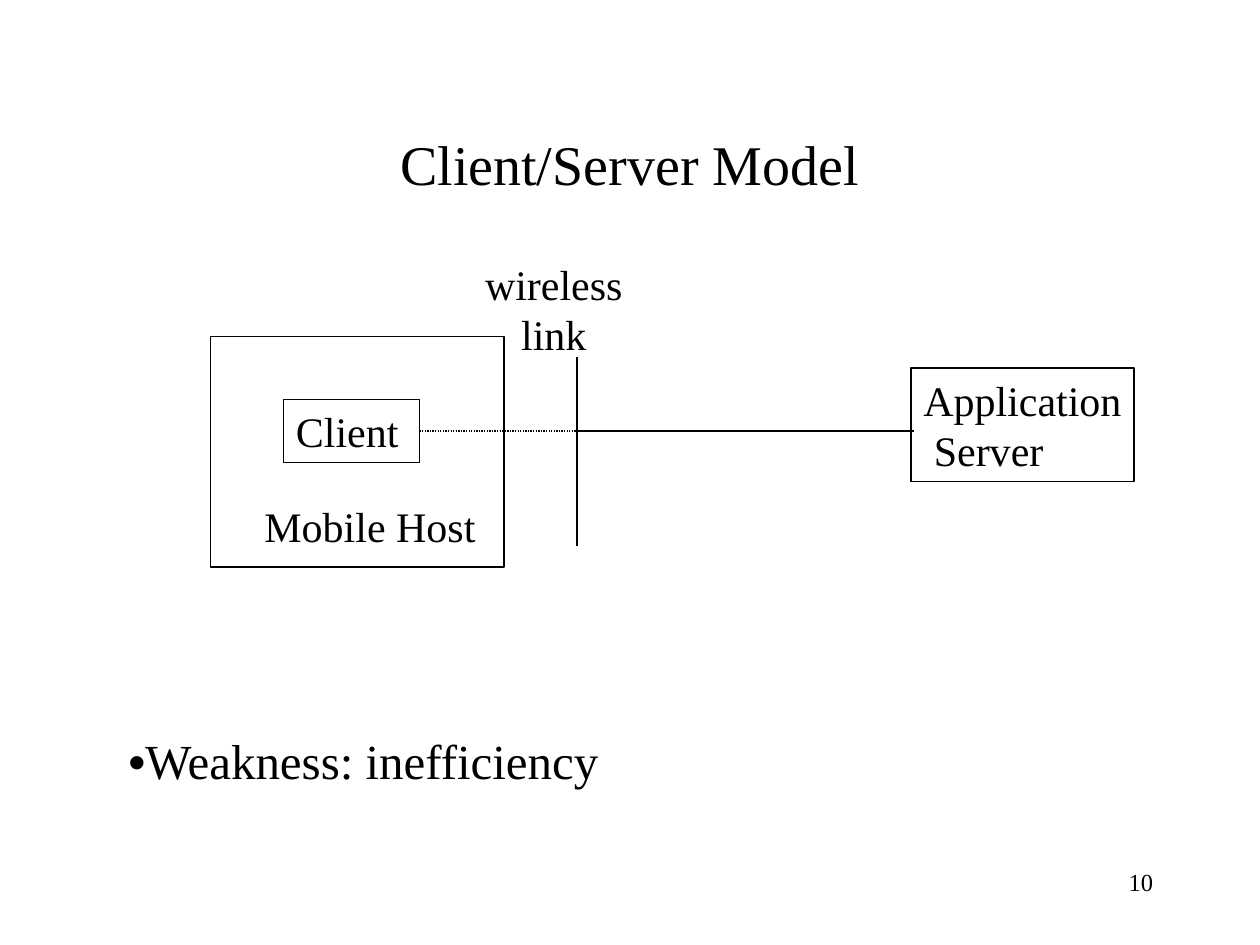
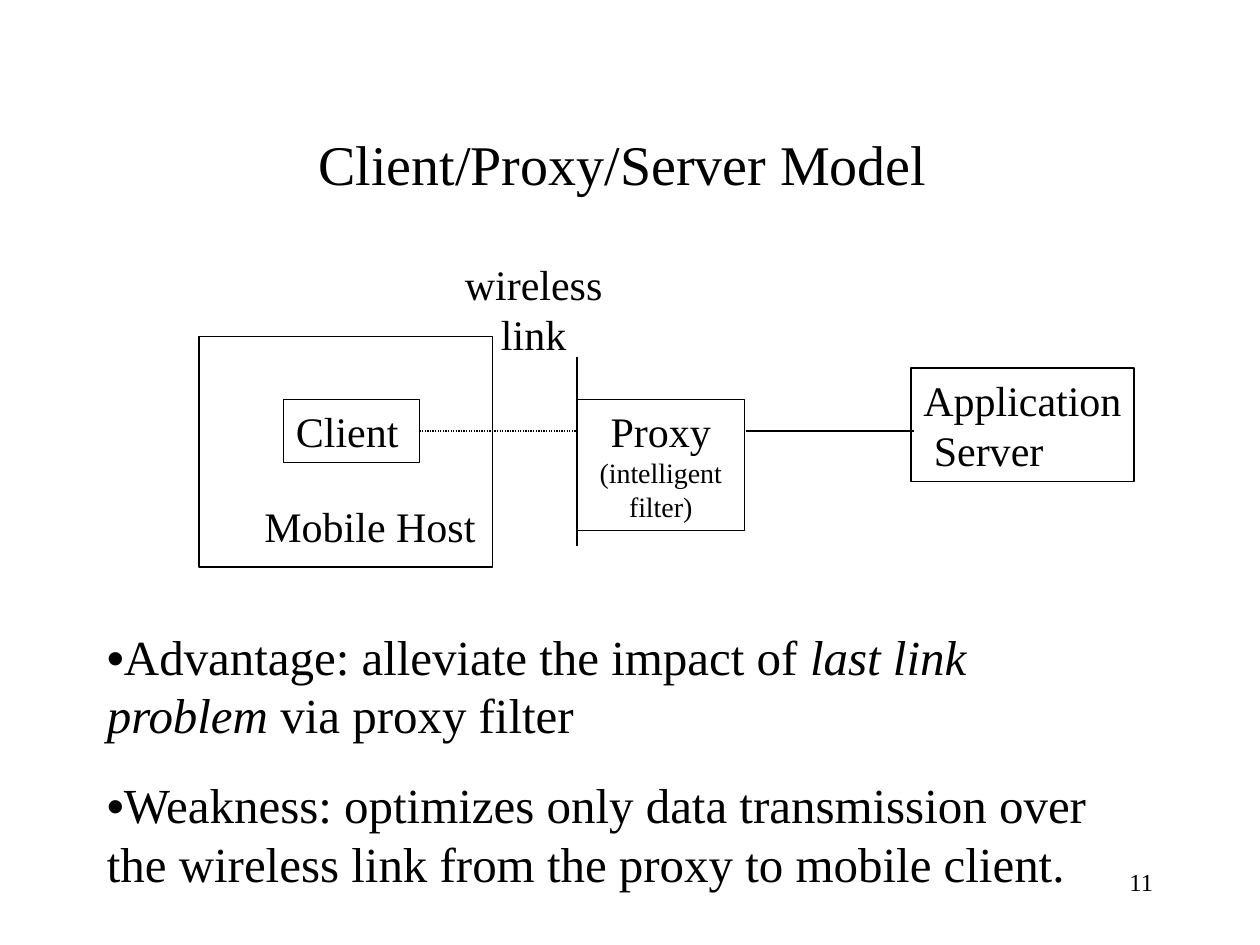
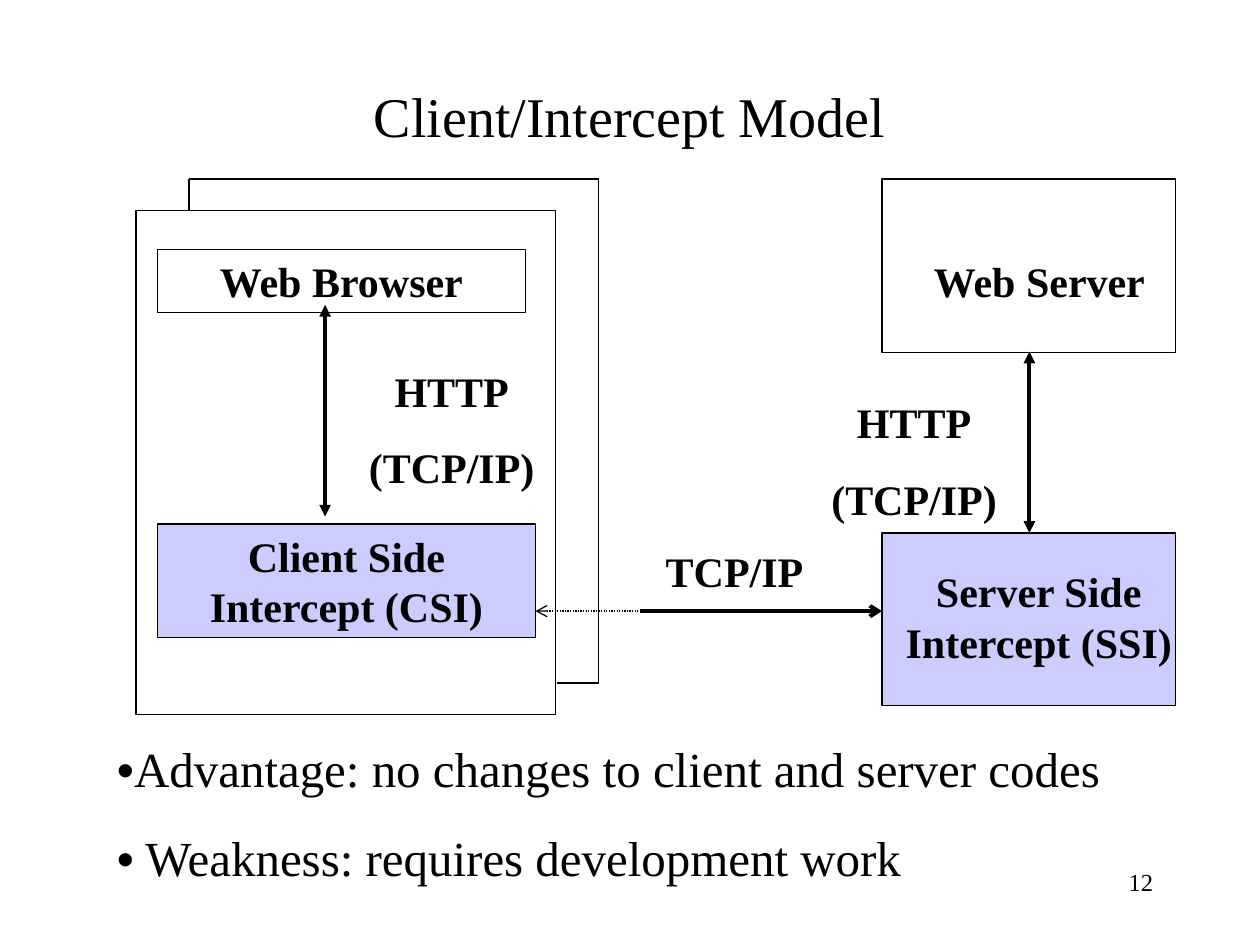
from lxml.etree import SubElement
from pptx import Presentation
from pptx.dml.color import RGBColor
from pptx.enum.dml import MSO_LINE
from pptx.enum.shapes import MSO_CONNECTOR, MSO_SHAPE
from pptx.enum.text import MSO_ANCHOR, PP_ALIGN
from pptx.oxml.ns import qn
from pptx.util import Inches, Pt

HUES = {"ink": "000000", "paper": "FFFFFF", "lilac": "CCCCFF"}
FONT, DOT = "Times New Roman", "Arial"
LEFT, MID, RIGHT = PP_ALIGN.LEFT, PP_ALIGN.CENTER, PP_ALIGN.RIGHT


def block(slide, spot, rows=(), size=24, align=LEFT, bold=False, gap=0,
          edge=False, fill=None, wrap=True):
    """Add a box or plain text; each row is a paragraph, "|" parts its runs."""
    spot = [Inches(n) for n in spot]
    if edge:
        shape = slide.shapes.add_shape(MSO_SHAPE.RECTANGLE, *spot)
        shape.shadow.inherit = False
        shape.line.color.rgb = RGBColor.from_string(HUES["ink"])
        shape.line.width = Pt(0.75)
        if fill:
            shape.fill.solid()
            shape.fill.fore_color.rgb = RGBColor.from_string(HUES[fill])
        else:
            shape.fill.background()
    else:
        shape = slide.shapes.add_textbox(*spot)
    frame = shape.text_frame
    frame.word_wrap = wrap
    frame.vertical_anchor = MSO_ANCHOR.TOP
    for i, row in enumerate(rows):
        par = frame.add_paragraph() if i else frame.paragraphs[0]
        par.alignment = align
        par.space_before = Pt(gap)
        for piece in row.split("|"):
            run = par.add_run()
            run.text = piece
            run.font.name = DOT if piece == "•" else FONT
            run.font.size = Pt(size)
            run.font.bold = bold
            run.font.color.rgb = RGBColor.from_string(HUES["ink"])
    return frame


def link(slide, start, end, width=0.75, dots=False, head=None, tail=None):
    """Draw a straight line; head is the arrow at start, tail the one at end."""
    line = slide.shapes.add_connector(
        MSO_CONNECTOR.STRAIGHT, *[Inches(n) for n in (*start, *end)])
    line.line.color.rgb = RGBColor.from_string(HUES["ink"])
    line.line.width = Pt(width)
    if dots:
        line.line.dash_style = MSO_LINE.ROUND_DOT
    props = line._element.spPr
    for tag, kind in (("a:headEnd", head), ("a:tailEnd", tail)):
        if kind:
            SubElement(props.find(qn("a:ln")), qn(tag), type=kind)
    SubElement(props, qn("a:effectLst"))


deck = Presentation()
deck.slide_width, deck.slide_height = Inches(10), Inches(7.5)

# Titles and page numbers
pages = []
for num, title, top, high in (
        (10, "Client/Server Model", 0.67, 1.25),
        (11, "Client/Proxy/Server Model ", 0.67, 1.25),
        (12, "Client/Intercept Model", 0.5, 0.83)):
    page = deck.slides.add_slide(deck.slide_layouts[6])
    frame = block(page, (0.75, top, 8.5, high), [title], 32, MID)
    frame.vertical_anchor = MSO_ANCHOR.MIDDLE
    block(page, (7.17, 6.83, 2.08, 0.5), [str(num)], 14, RIGHT)
    pages.append(page)
server, proxy, cut = pages

# Mobile host and application server, on the first two slides
wire = 3.42
for page, host, label, start in ((server, 1.67, 3.75, 4.58),
                                 (proxy, 1.58, 3.59, 5.92)):
    block(page, (host, 2.67, 2.33, 1.83), edge=True)
    block(page, (2.25, 3.17, 1.08, 0.5), ["Client"], gap=15, edge=True)
    block(page, (2, 3.92, 1.95, 0.5), ["Mobile Host"])
    link(page, (3.33, wire), (4.58, wire), dots=True)
    link(page, (4.58, 2.83), (4.58, 4.33))
    block(page, (label, 2, 1.29, 0.9), ["wireless", "link"], align=MID,
          wrap=False)
    block(page, (7.23, 2.92, 1.77, 0.9), ["Application", " Server"],
          edge=True, wrap=False)
    link(page, (start, wire), (7.25, wire))

frame = block(proxy, (4.58, 3.17, 1.33, 1.04),
              ["Proxy", "(intelligent filter)"], align=MID, edge=True)
frame.paragraphs[1].runs[0].font.size = Pt(16)

# Bullets
block(server, (0.92, 5.75, 8.33, 0.57), ["•|Weakness: inefficiency"], 28,
      gap=17.5)
frame = block(proxy, (0.75, 4.92, 8.3, 2.21), [
    "•|Advantage: alleviate the impact of |last link problem| via proxy filter",
    "•|Weakness: optimizes only data transmission over the wireless link "
    "from the proxy to mobile client."], 28, gap=17.5)
frame.paragraphs[0].runs[2].font.italic = True
block(cut, (0.83, 5.81, 8.08, 1.28), [
    "•|Advantage: no changes to client and server codes",
    "•| Weakness: requires development work"], 28, gap=17.5)

# Intercept model: boxes, with the edge of a second client behind the first
for spot, fill in (((1.08, 1.67, 3.33, 4), "paper"),
                   ((7, 1.42, 2.33, 1.38), "paper"),
                   ((7, 4.23, 2.33, 1.37), "lilac")):
    block(cut, spot, edge=True, fill=fill)
rim = [(1.5, 1.67), (1.5, 1.42), (4.75, 1.42), (4.75, 5.42), (4.42, 5.42)]
for start, end in zip(rim, rim[1:]):
    link(cut, start, end)

http = ["HTTP", "(TCP/IP)"]
for spot, rows, fill in (
        ((1.25, 1.98, 2.92, 0.5), ["Web Browser"], "paper"),
        ((1.25, 4.16, 3, 0.9), ["Client Side Intercept (CSI)"], "lilac"),
        ((2.75, 2.85, 1.67, 1.11), http, None),
        ((7.25, 1.98, 2, 0.5), ["Web Server"], None),
        ((7.08, 4.44, 2.33, 0.9), ["Server Side Intercept (SSI)"], None),
        ((4.83, 4.28, 2, 0.5), ["TCP/IP"], None),
        ((6.42, 3.1, 1.67, 1.11), http, None)):
    block(cut, spot, rows, align=MID, bold=True, gap=15,
          edge=bool(fill), fill=fill)

for x, top, low in ((2.58, 2.42, 4.1), (8.17, 2.79, 4.23)):
    link(cut, (x, top), (x, low), 2.25, head="triangle", tail="triangle")
link(cut, (7, 4.85), (5.08, 4.85), 2.25, head="arrow")
link(cut, (4.25, 4.85), (5.25, 4.85), dots=True, head="arrow")

deck.save("out.pptx")
